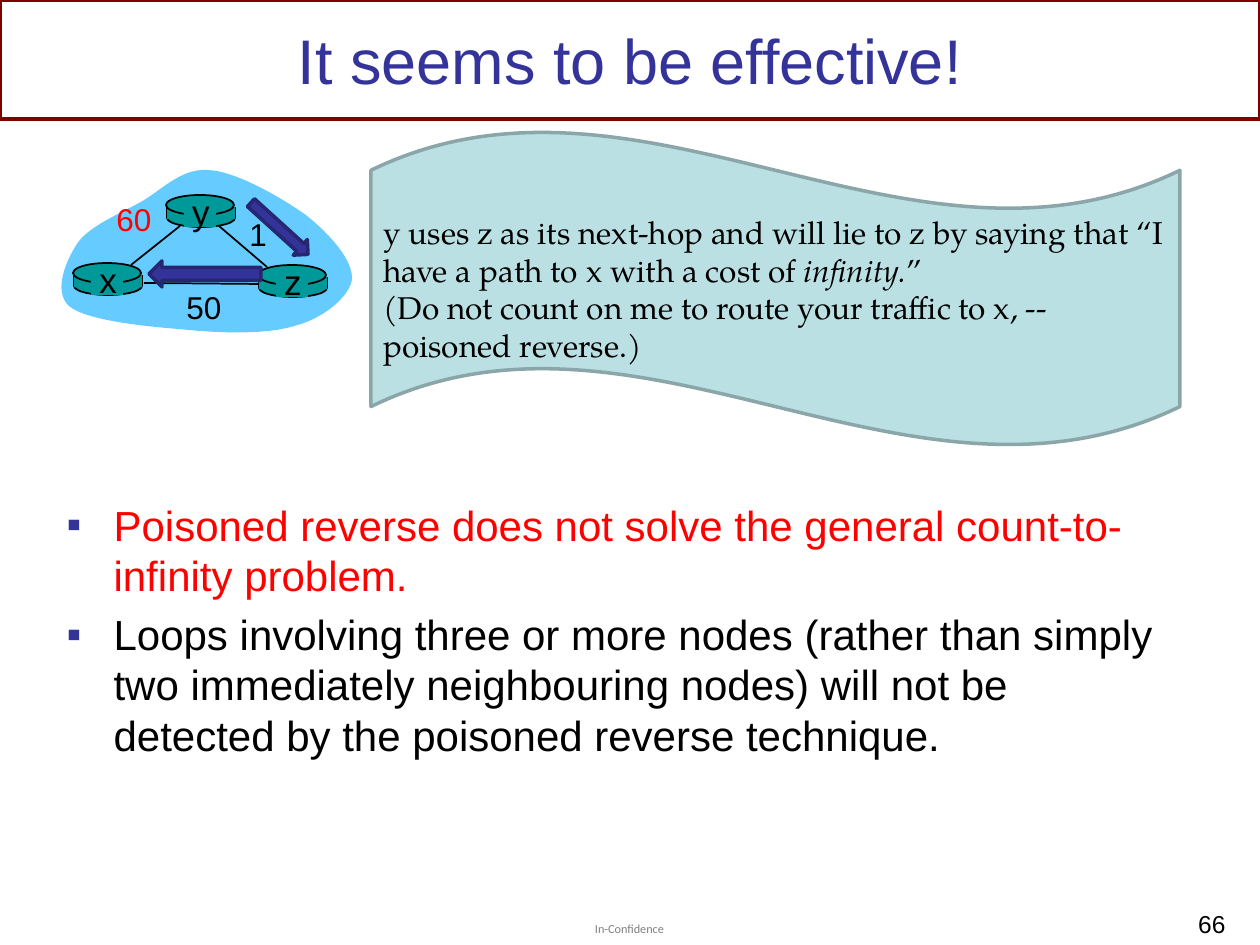
from dataclasses import dataclass

from lxml.etree import SubElement as Sub
from pptx import Presentation
from pptx.dml.color import RGBColor as RGB
from pptx.enum.shapes import MSO_CONNECTOR as Link, MSO_SHAPE as Kind
from pptx.enum.text import MSO_ANCHOR as Anchor, MSO_AUTO_SIZE as Fit, PP_ALIGN as Align
from pptx.oxml.ns import qn
from pptx.util import Pt

UNIT = 914400 / 126


@dataclass(frozen=True)
class Theme:
    sans: str = "Arial"
    serif: str = "TeX Gyre Pagella"
    small: str = "Calibri"
    ink: str = "000000"
    navy: str = "333399"
    edge: str = "262671"
    red: str = "FF0000"
    frame: str = "800000"
    cloud: str = "66CCFF"
    teal: str = "009999"
    wave: str = "BBE0E3"
    rim: str = "8AA6A8"
    title: int = 36
    body: int = 24
    node: int = 20
    text: int = 18
    page: int = 14
    foot: int = 7


T = Theme()


def px(*nums):
    return [round(n * UNIT) for n in nums]


def place(shape, box):
    shape.left, shape.top, shape.width, shape.height = px(*box)


def write(para, text, size=T.text, color=T.ink, font=T.sans, align=None, italic=False):
    run = para.add_run()
    run.text = text
    run.font.size, run.font.name, run.font.italic = Pt(size), font, italic
    run.font.color.rgb = RGB.from_string(color)
    if align is not None:
        para.alignment = align
    return run


def label(shapes, box, text, wrap=False, **style):
    item = shapes.add_textbox(*px(*box))
    item.text_frame.word_wrap = wrap
    run = write(item.text_frame.paragraphs[0], text, **style)
    return item.text_frame, run


def paint(shape, fill=None, line=None, width=1):
    shape.shadow.inherit = False
    if fill:
        shape.fill.solid()
        shape.fill.fore_color.rgb = RGB.from_string(fill)
    else:
        shape.fill.background()
    if line:
        shape.line.color.rgb = RGB.from_string(line)
        shape.line.width = Pt(width)
    else:
        shape.line.fill.background()
    return shape


def block(shapes, kind, box, **style):
    return paint(shapes.add_shape(kind, *px(*box)), **style)


def wire(shapes, x1, y1, x2, y2):
    line = shapes.add_connector(Link.STRAIGHT, *px(x1, y1, x2, y2))
    line.line.color.rgb = RGB.from_string(T.ink)
    line.line.width = Pt(1)
    Sub(line._element.spPr, qn("a:effectLst"))


def curve(shape):
    route = next(shape._element.iter(qn("a:pathLst")))[0]
    steps = route.findall(qn("a:lnTo"))
    for i in range(0, len(steps), 3):
        bend = Sub(route, qn("a:cubicBezTo"))
        for step in steps[i:i + 3]:
            bend.append(step[0])
            route.remove(step)
    route.append(route.find(qn("a:close")))


def cloud(shapes, x, y):
    start = (24, 76)
    knots = [
        (35, 59), (64, 47), (86, 35),
        (107, 24), (127, 0), (155, 2),
        (183, 3), (229, 30), (253, 47),
        (277, 66), (301, 93), (299, 112),
        (296, 129), (270, 151), (241, 158),
        (212, 167), (164, 165), (126, 161),
        (88, 158), (33, 152), (16, 138),
        (0, 123), (13, 93), start,
    ]
    pen = shapes.build_freeform(*px(x + start[0], y + start[1]))
    pen.add_line_segments([px(x + a, y + b) for a, b in knots], close=True)
    shape = paint(pen.convert_to_shape(), fill=T.cloud)
    curve(shape)


def router(shapes, x, y, name):
    block(shapes, Kind.OVAL, (x + 1, y + 14, 68, 18), fill=T.teal, line=T.ink)
    for side in (x + 1, x + 69):
        wire(shapes, side, y + 12, side, y + 23)
    block(shapes, Kind.RECTANGLE, (x + 1, y + 12, 68, 12), fill=T.teal)
    block(shapes, Kind.OVAL, (x, y, 68, 20), fill=T.teal, line=T.ink)
    block(shapes, Kind.RECTANGLE, (x + 18, y + 3, 32, 29), fill=T.teal)
    label(shapes, (x + 13, y - 11, 44, 54), name, size=T.node, align=Align.CENTER)


def network(slide, x, y):
    shapes = slide.shapes.add_group_shape().shapes
    cloud(shapes, x, y)
    for a, b, c, d in ((78, 97, 127, 58), (166, 58, 214, 99), (209, 116, 91, 115)):
        wire(shapes, x + a, y + b, x + c, y + d)
    for name, a, b in (("x", 20, 95), ("z", 205, 97), ("y", 113, 27)):
        router(shapes, x + a, y + b, name)
    costs = (("1", 184, 41, 39, T.ink), ("50", 119, 114, 64, T.ink), ("60", 49, 26, 64, T.red))
    for cost, a, b, wide, color in costs:
        label(shapes, (x + a, y + b, wide, 50), cost, color=color, align=Align.CENTER)
    for a, b, wide, high, turn in ((96, 93, 112, 26, 0), (188, 50, 77, 21, 222.2)):
        arrow = block(shapes, Kind.LEFT_ARROW, (x + a, y + b, wide, high),
                      fill=T.navy, line=T.edge, width=2)
        arrow.rotation = turn


def header(slide, box):
    x, y, wide, high = box
    block(slide.shapes, Kind.RECTANGLE, box, line=T.frame, width=2)
    title = slide.shapes.title
    place(title, (x + 63, y + 10, wide - 126, high - 20))
    frame = title.text_frame
    frame.auto_size, frame.vertical_anchor = Fit.NONE, Anchor.MIDDLE
    write(frame.paragraphs[0], "It seems to be effective!",
          size=T.title, color=T.navy, align=Align.CENTER)


def note(slide, box):
    wave = block(slide.shapes, Kind.WAVE, box, fill=T.wave, line=T.rim, width=2)
    frame = wave.text_frame
    frame.word_wrap, frame.vertical_anchor = True, Anchor.MIDDLE
    style = dict(font=T.serif, align=Align.LEFT)
    para = frame.paragraphs[0]
    write(para, "y uses z as its next-hop and will lie to z by saying that “I have a path "
                "to x with a cost of ", **style)
    write(para, "infinity.", italic=True, **style)
    write(para, "”", **style)
    write(frame.add_paragraph(),
          "(Do not count on me to route your traffic to x, --poisoned reverse.)", **style)


def points(slide, box, items):
    body = slide.placeholders[1]
    place(body, box)
    frame = body.text_frame
    frame.auto_size, frame.vertical_anchor = Fit.NONE, Anchor.TOP
    for i, (text, color) in enumerate(items):
        para = frame.add_paragraph() if i else frame.paragraphs[0]
        props = para._p.get_or_add_pPr()
        indent = px(47)[0]
        props.set("marL", str(indent))
        props.set("indent", str(-indent))
        Sub(Sub(props, qn("a:buClr")), qn("a:srgbClr"), val=T.navy)
        Sub(props, qn("a:buFont"), typeface=T.sans)
        Sub(props, qn("a:buChar"), char="▪")
        para.space_before = Pt(4.8 if i else 0)
        write(para, text, size=T.body, color=color)


def footer(slide, box):
    x, y, wide, high = box
    frame, run = label(slide.shapes, (x + 595, y + 18, 72, 15), "In-Confidence",
                       size=T.foot, font=T.small)
    frame.margin_left = frame.margin_top = frame.margin_right = frame.margin_bottom = 0
    tint = run._r.rPr.find(".//" + qn("a:srgbClr"))
    Sub(tint, qn("a:alpha"), val="50000")
    label(slide.shapes, (x + wide - 300, y, 278, high), "66", wrap=True,
          size=T.page, align=Align.RIGHT)


def main():
    deck = Presentation()
    deck.slide_width, deck.slide_height = px(1260, 945)
    slide = deck.slides.add_slide(deck.slide_layouts[1])
    header(slide, (0, 0, 1260, 119))
    network(slide, 53, 168)
    note(slide, (371, 131, 809, 315))
    points(slide, (54, 493, 1134, 268), [
        ("Poisoned reverse does not solve the general count-to-infinity problem.", T.red),
        ("Loops involving three or more nodes (rather than simply two immediately "
         "neighbouring nodes) will not be detected by the poisoned reverse technique.", T.ink),
    ])
    footer(slide, (0, 903, 1260, 38))
    deck.save("out.pptx")


if __name__ == "__main__":
    main()
